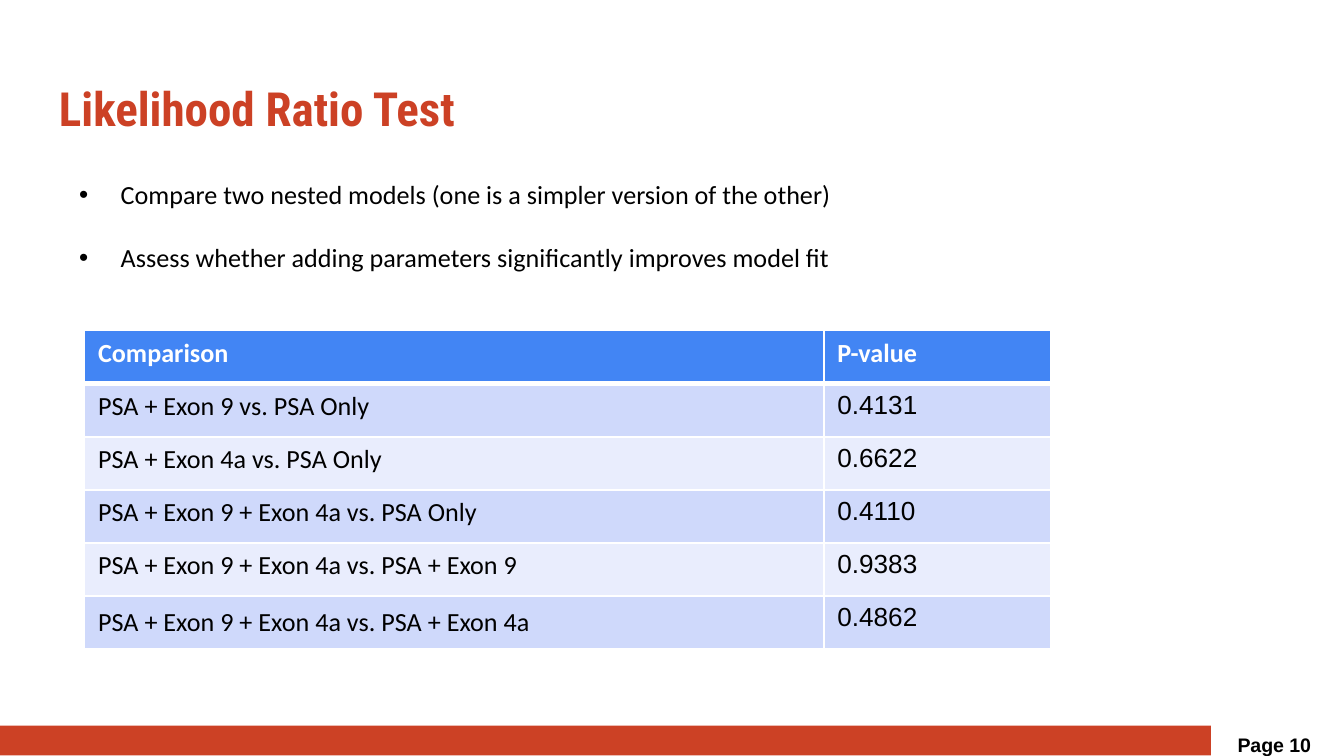
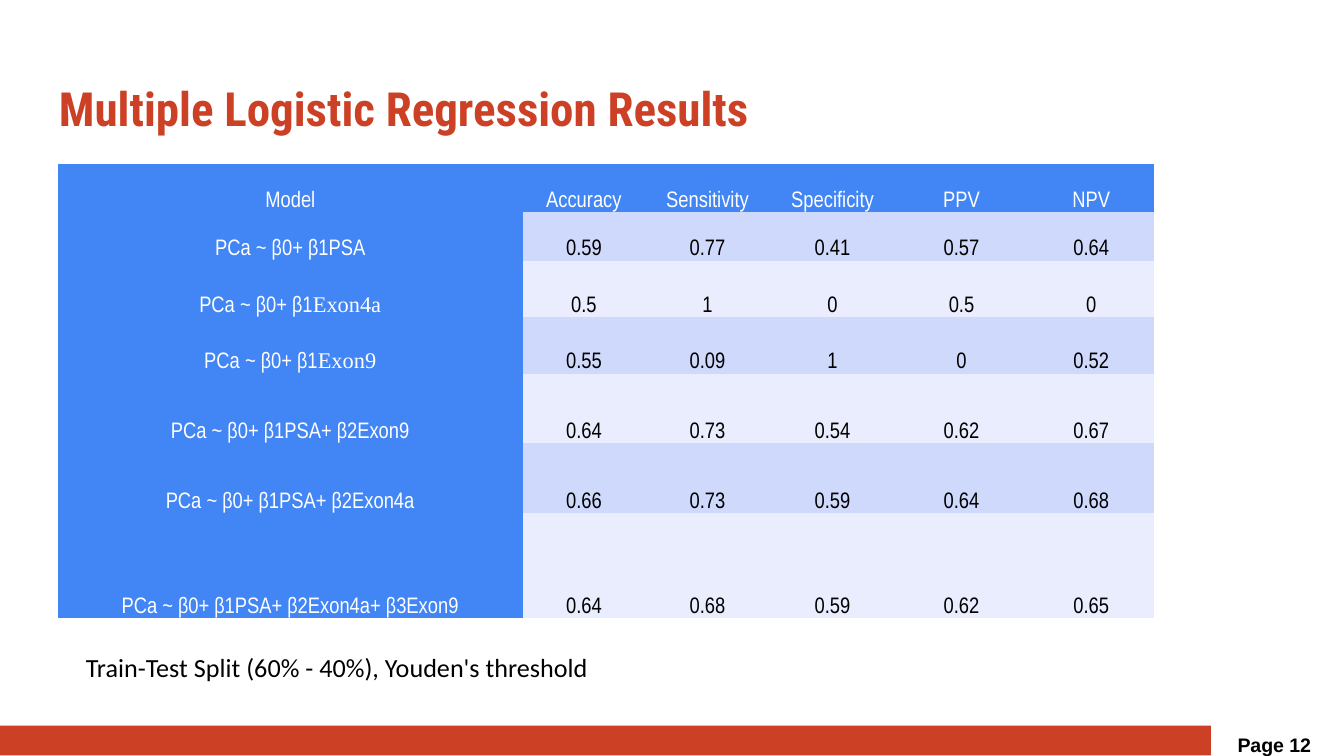
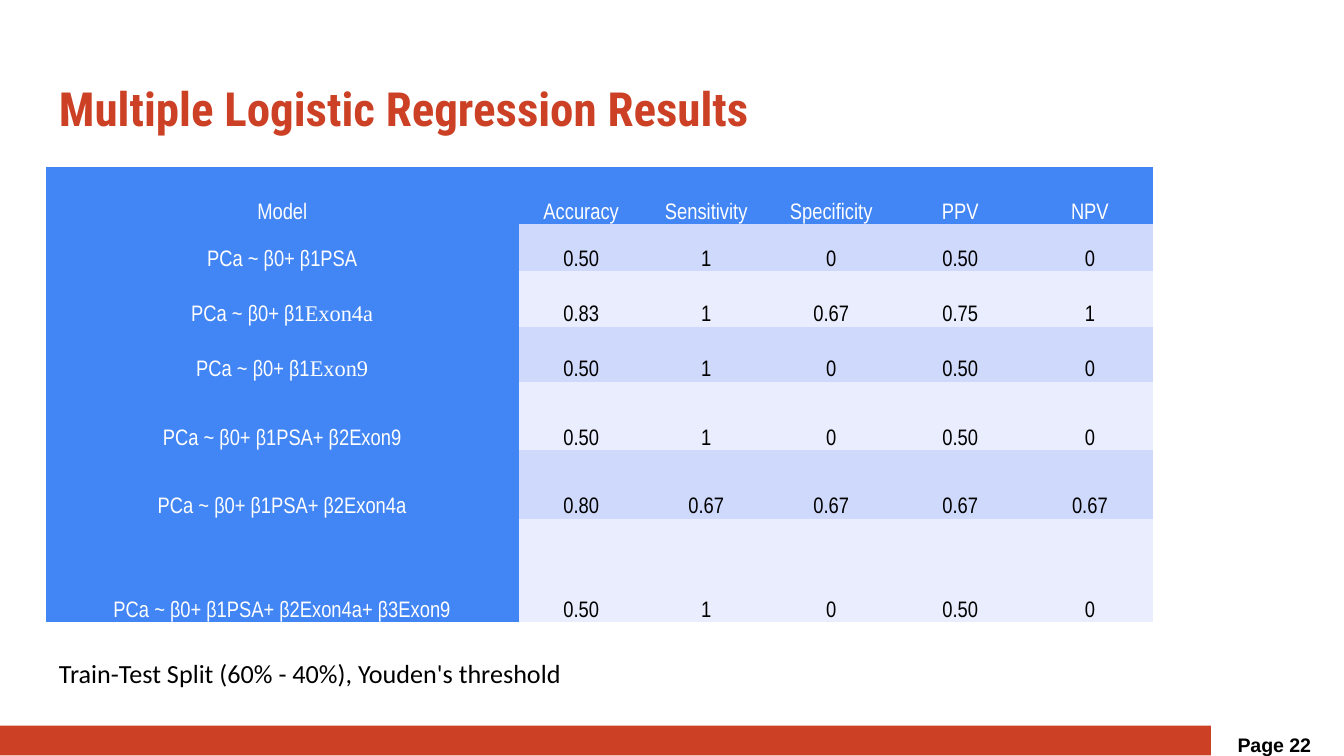
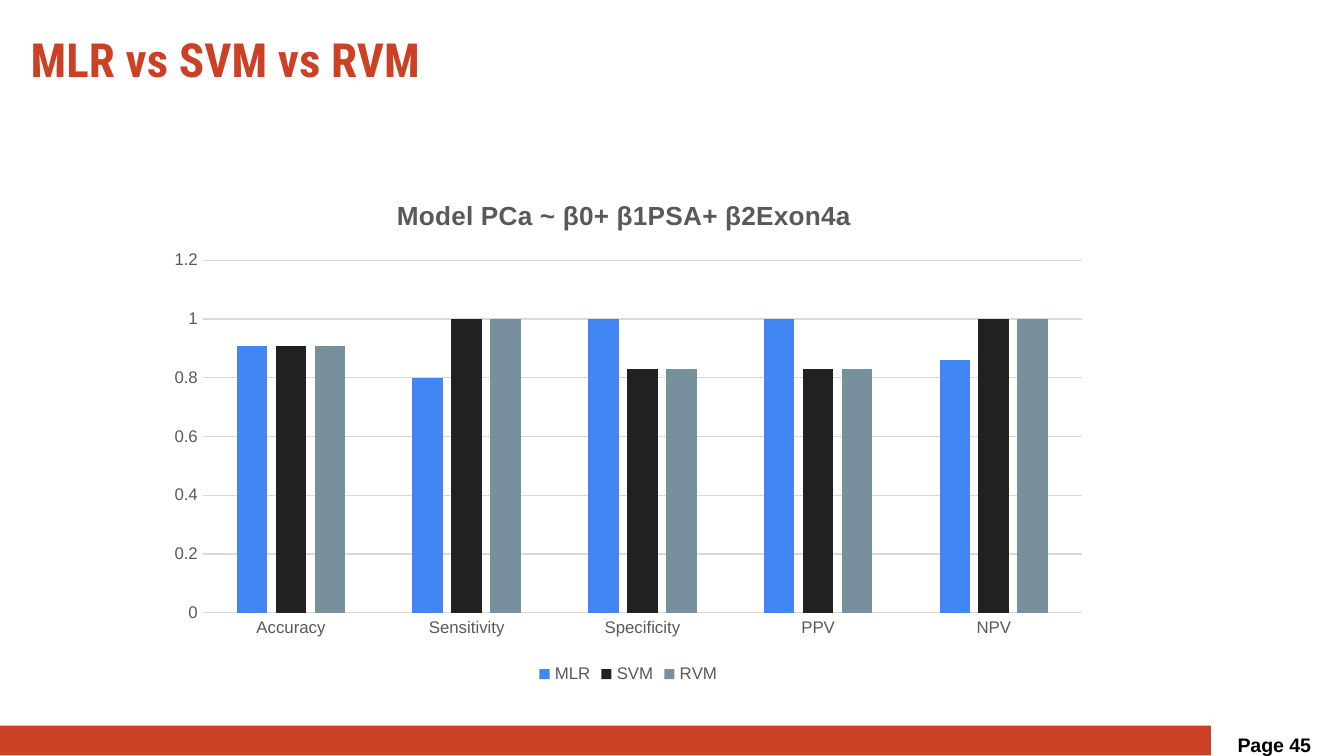
from lxml.etree import SubElement as Sub
from pptx import Presentation
from pptx.chart.data import CategoryChartData as ChartData
from pptx.dml.color import RGBColor as RGB
from pptx.enum.chart import XL_CHART_TYPE as Kind, XL_LEGEND_POSITION as Spot, XL_TICK_MARK as Tick
from pptx.enum.shapes import MSO_SHAPE as Shape
from pptx.enum.text import MSO_ANCHOR as Anchor, PP_ALIGN as Align
from pptx.oxml import parse_xml
from pptx.oxml.ns import nsdecls, qn
from pptx.util import Inches, Pt

HUES = {
    "red": "CC4125", "blue": "4285F4", "dark": "CFD9FB", "pale": "E9EDFD",
    "white": "FFFFFF", "black": "000000", "coal": "212121", "steel": "78909C",
    "gray": "595959", "rule": "D9D9D9",
}
HUES = {name: RGB.from_string(code) for name, code in HUES.items()}
PLAIN = "{2D5ABB26-0587-4C30-8999-92F81FD0307C}"  # table style without grid


def write(frame, text, size=14, font="Calibri", hue="black", bold=False,
          align=Align.LEFT, gap=0, bullet=False, pad=None):
    """Fill a frame, one paragraph per line; a part after "|" is in Times."""
    frame.word_wrap = True
    if pad is not None:
        frame.margin_top = frame.margin_bottom = Inches(pad)
    for i, line in enumerate(text.split("\n")):
        para = frame.paragraphs[0] if i == 0 else frame.add_paragraph()
        para.alignment = align
        if i:
            para.space_before = Pt(gap)
        if bullet:
            props = para._p.get_or_add_pPr()
            props.set("marL", str(Inches(0.31)))
            props.set("indent", str(-Inches(0.31)))
            Sub(props, qn("a:buFont"), typeface="Arial")
            Sub(props, qn("a:buChar"), char="•")
        for part, face in zip(line.split("|"), (font, "Times New Roman")):
            run = para.add_run()
            run.text = part
            run.font.name, run.font.size, run.font.bold = face, Pt(size), bold
            run.font.color.rgb = HUES[hue]


def grid(slide, rows, left, top, cols, highs):
    """Add an unstyled table with a blue head and banded rows; yield its cells."""
    table = slide.shapes.add_table(
        len(rows), len(cols), Inches(left), Inches(top),
        Inches(sum(cols)), Inches(sum(highs))).table
    table._tbl.tblPr.find(qn("a:tableStyleId")).text = PLAIN
    for col, wide in zip(table.columns, cols):
        col.width = Inches(wide)
    for row, high in zip(table.rows, highs):
        row.height = Inches(high)
    for r, row in enumerate(rows):
        for c, text in enumerate(row):
            cell = table.cell(r, c)
            cell.fill.solid()
            cell.fill.fore_color.rgb = HUES["blue" if r == 0 else "dark" if r % 2 else "pale"]
            yield r, c, text, cell


deck = Presentation()
deck.slide_width = Inches(10)
deck.slide_height = deck.slide_width * 9 // 16

# Title, band and page number of every slide
heads = [
    ("Likelihood Ratio Test", 10, 0.34, 0.49),
    ("Multiple Logistic Regression Results", 12, 0.34, 0.49),
    ("Multiple Logistic Regression Results", 22, 0.34, 0.49),
    ("MLR vs SVM vs RVM", 45, 0.13, 0.13),
]
for title, page, left, top in heads:
    slide = deck.slides.add_slide(deck.slide_layouts[6])
    box = slide.shapes.add_textbox(Inches(left), Inches(top), Inches(9.32), Inches(0.63))
    write(box.text_frame, title, size=25.2, font="Roboto Condensed", hue="red", bold=True, pad=0.1)
    band = slide.shapes.add_shape(Shape.RECTANGLE, 0, Inches(5.4), Inches(9.01), Inches(0.22))
    band.shadow.inherit = False
    band.fill.solid()
    band.fill.fore_color.rgb = HUES["red"]
    band.line.fill.background()
    box = slide.shapes.add_textbox(Inches(9.11), Inches(5.33), Inches(0.77), Inches(0.37))
    write(box.text_frame, f"Page {page}", size=10.5, font="Arial", bold=True, pad=0.1)
    box.text_frame.vertical_anchor = Anchor.BOTTOM
    box.text_frame.paragraphs[0].line_spacing = 0.8
ratio, first, second, versus = deck.slides

# Likelihood ratio test
box = ratio.shapes.add_textbox(Inches(0.49), Inches(1.28), Inches(8.72), Inches(1.28))
write(box.text_frame, "Compare two nested models (one is a simpler version of the other)\n"
      "Assess whether adding parameters significantly improves model fit", gap=17, bullet=True)
tests = [
    ("Comparison", "P-value"),
    ("PSA + Exon 9 vs. PSA Only", "0.4131"),
    ("PSA + Exon 4a vs. PSA Only", "0.6622"),
    ("PSA + Exon 9 + Exon 4a vs. PSA Only", "0.4110"),
    ("PSA + Exon 9 + Exon 4a vs. PSA + Exon 9", "0.9383"),
    ("PSA + Exon 9 + Exon 4a vs. PSA + Exon 4a", "0.4862"),
]
for r, c, text, cell in grid(ratio, tests, 0.63, 2.46, [5.5, 1.69], [2.37 / 6] * 6):
    write(cell.text_frame, text, font="Arial" if r and c else "Calibri",
          hue="black" if r else "white", bold=r == 0)
    if r == len(tests) - 1 and c == 0:
        cell.vertical_anchor = Anchor.MIDDLE
    props = cell._tc.get_or_add_tcPr()
    for i, side in enumerate("LRTB"):
        thick = 3 if (r, side) in ((0, "B"), (1, "T")) else 1
        props.insert(i, parse_xml(
            f'<a:ln{side} {nsdecls("a")} w="{Pt(thick)}"><a:solidFill>'
            f'<a:srgbClr val="{HUES["white"]}"/></a:solidFill></a:ln{side}>'))

# Regression results
scores = ["Accuracy", "Sensitivity", "Specificity", "PPV", "NPV"]
models = ["PSA", "|Exon4a", "|Exon9", "PSA+ β2Exon9", "PSA+ β2Exon4a",
          "PSA+ β2Exon4a+ β3Exon9"]
results = [
    (first, 0.43, 1.22, [3.46, 0.91, 0.93, 0.93, 0.99, 0.94],
     [0.36, 0.36, 0.42, 0.42, 0.52, 0.52, 0.78], 0.54, 4.8,
     ["0.59 0.77 0.41 0.57 0.64", "0.5 1 0 0.5 0", "0.55 0.09 1 0 0.52",
      "0.64 0.73 0.54 0.62 0.67", "0.66 0.73 0.59 0.64 0.68", "0.64 0.68 0.59 0.62 0.65"]),
    (second, 0.34, 1.24, [3.52, 0.93, 0.93, 0.93, 0.99, 0.94],
     [0.43, 0.35, 0.41, 0.41, 0.51, 0.51, 0.77], 0.34, 4.84,
     ["0.50 1 0 0.50 0", "0.83 1 0.67 0.75 1", "0.50 1 0 0.50 0",
      "0.50 1 0 0.50 0", "0.80 0.67 0.67 0.67 0.67", "0.50 1 0 0.50 0"]),
]
for slide, left, top, cols, highs, note_x, note_y, lines in results:
    rows = [["Model"] + scores]
    rows += [["PCa ~ β0+ β1" + model] + line.split() for model, line in zip(models, lines)]
    for r, c, text, cell in grid(slide, rows, left, top, cols, highs):
        cell.vertical_anchor = Anchor.BOTTOM
        cell.margin_left = cell.margin_right = cell.margin_top = Inches(0.01)
        cell.margin_bottom = 0
        if c == 0:
            cell.fill.fore_color.rgb = HUES["blue"]
        write(cell.text_frame, text, size=12, font="Arial Narrow",
              hue="black" if r and c else "white", align=Align.CENTER)
    box = slide.shapes.add_textbox(Inches(note_x), Inches(note_y), Inches(4.1), Inches(0.34))
    write(box.text_frame, "Train-Test Split (60% - 40%), Youden's threshold")

# Model comparison chart
data = ChartData()
data.categories = scores
data.add_series("MLR", [0.91, 0.8, 1, 1, 0.86])
data.add_series("SVM", [0.91, 1, 0.83, 0.83, 1])
data.add_series("RVM", [0.91, 1, 0.83, 0.83, 1])
chart = versus.shapes.add_chart(Kind.COLUMN_CLUSTERED, Inches(1.16), Inches(1.33),
                                Inches(7.03), Inches(3.8), data).chart
chart.font.name, chart.font.size = "Arial", Pt(10)
chart.has_title = True
write(chart.chart_title.text_frame, "Model PCa ~ β0+ β1PSA+ β2Exon4a", font="Arial",
      hue="gray", bold=True, align=Align.CENTER)
chart.has_legend = True
chart.legend.position = Spot.BOTTOM
chart.legend.include_in_layout = False
cats, vals = chart.category_axis, chart.value_axis
for part in (chart.legend.font, cats.tick_labels.font, vals.tick_labels.font):
    part.name, part.size = "Arial", Pt(9)
    part.color.rgb = HUES["gray"]
for axis in (cats, vals):
    axis.major_tick_mark = axis.minor_tick_mark = Tick.NONE
for line in (cats.format.line, vals.major_gridlines.format.line):
    line.color.rgb, line.width = HUES["rule"], Pt(0.75)
vals.format.line.fill.background()
vals.minimum_scale, vals.maximum_scale, vals.major_unit = 0, 1.2, 0.2
plot = chart.plots[0]
plot.gap_width, plot.overlap, plot.vary_by_categories = 219, -27, False
for series, hue in zip(plot.series, ("blue", "coal", "steel")):
    series.format.fill.solid()
    series.format.fill.fore_color.rgb = HUES[hue]

# Places of the title and the plot, as shares of the chart
root = chart._chartSpace.chart
edges = {"xMode": "edge", "yMode": "edge"}
places = [
    (root.find(qn("c:title")), 1, edges | {"x": 0.25, "y": 0.03}),
    (root.plotArea, 0, {"layoutTarget": "inner"} | edges
     | {"x": 0.05, "y": 0.16, "w": 0.93, "h": 0.69}),
]
for part, index, place in places:
    old = part.find(qn("c:layout"))
    if old is not None:
        part.remove(old)
    layout = parse_xml(f'<c:layout {nsdecls("c")}><c:manualLayout/></c:layout>')
    for key, value in place.items():
        Sub(layout[0], qn("c:" + key), val=str(value))
    part.insert(index, layout)

deck.save("out.pptx")
